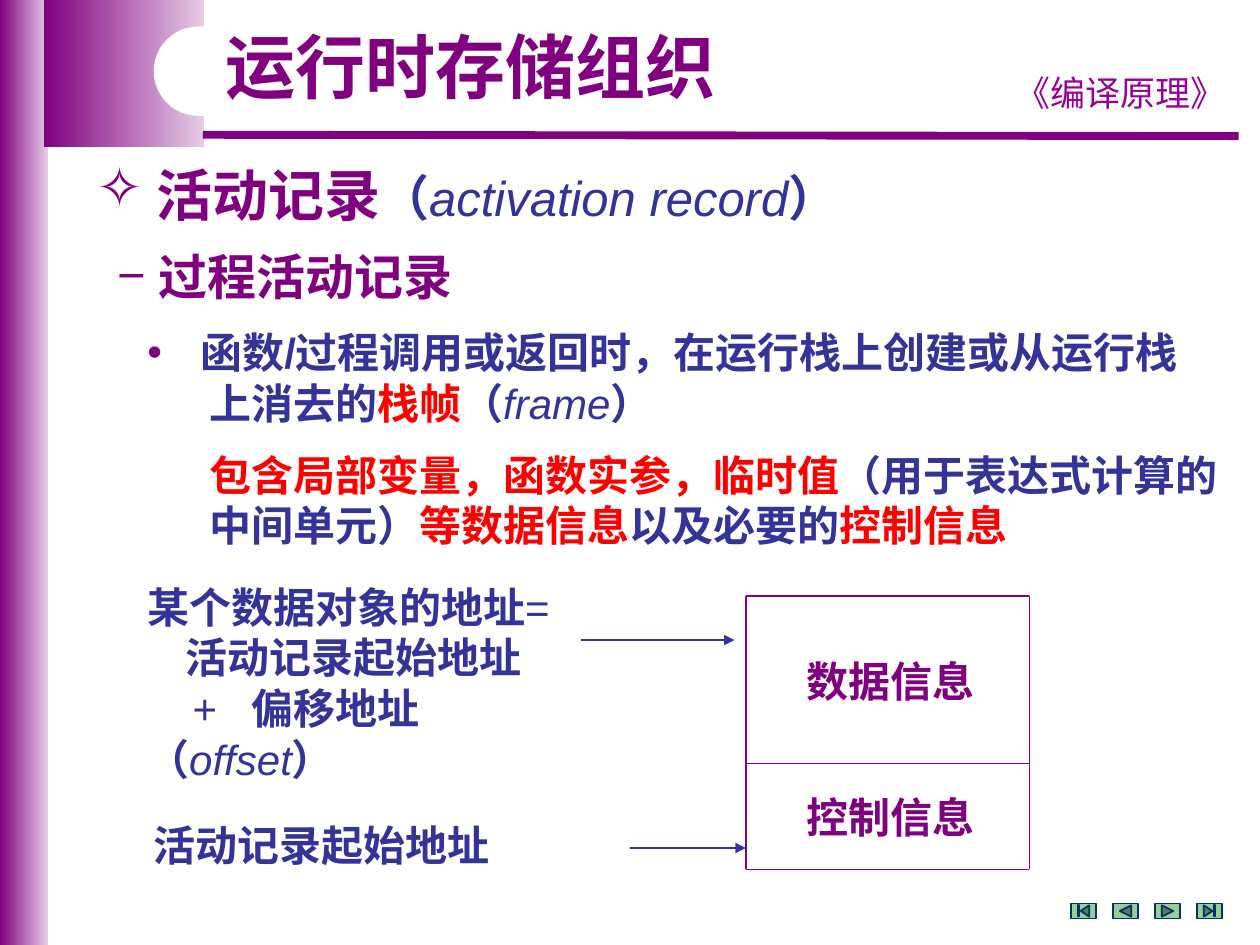
from lxml.etree import SubElement
from pptx import Presentation
from pptx.dml.color import RGBColor
from pptx.enum.shapes import MSO_CONNECTOR, MSO_SHAPE
from pptx.enum.text import MSO_ANCHOR, MSO_AUTO_SIZE, PP_ALIGN
from pptx.oxml.ns import qn
from pptx.util import Inches, Pt

COLORS = {"purple": "800080", "pale": "E6CCE6", "blue": "333399", "red": "FF0000",
          "violet": "990099", "white": "FFFFFF", "green": "99CC99", "navy": "003366"}
RGB = {name: RGBColor.from_string(value) for name, value in COLORS.items()}
CJK_FONT = "Noto Sans CJK SC"

prs = Presentation()
prs.slide_width, prs.slide_height = Inches(10), Inches(7.5)
s = prs.slides.add_slide(prs.slide_layouts[1])
title, body = s.placeholders


def write(sp, box, paragraphs, wrap=True, anchor=MSO_ANCHOR.TOP):
    """Place a text shape; each paragraph is (format dict, runs of (text, size, colour, style, font))."""
    sp.left, sp.top, sp.width, sp.height = map(Inches, box)
    tf = sp.text_frame
    frame_format = {"word_wrap": wrap, "auto_size": MSO_AUTO_SIZE.NONE, "vertical_anchor": anchor}
    for name, value in frame_format.items():
        setattr(tf, name, value)
    for i, (fmt, runs) in enumerate(paragraphs):
        p = tf.paragraphs[0] if i == 0 else tf.add_paragraph()
        p.alignment = fmt.get("align", PP_ALIGN.LEFT)
        p.level = fmt.get("level", 0)
        p.line_spacing = fmt.get("spacing", Pt(round(runs[0][1] * 1.2)))
        p.space_before, p.space_after = Pt(fmt.get("before", 0)), Pt(0)
        pPr = p._p.get_or_add_pPr()
        pPr.set("marL", str(Inches(fmt.get("margin", 0))))
        pPr.set("indent", str(Inches(fmt.get("indent", 0))))
        if "bullet" in fmt:
            color = SubElement(pPr, qn("a:buClr"))
            SubElement(color, qn("a:srgbClr"), val=COLORS["purple"])
            SubElement(pPr, qn("a:buChar"), char=fmt["bullet"])
        else:
            SubElement(pPr, qn("a:buNone"))
        for text, size, color, style, font in runs:
            r = p.add_run()
            r.text = text
            font_format = {"name": font, "size": Pt(size), "bold": style == "b", "italic": style == "i"}
            for name, value in font_format.items():
                setattr(r.font, name, value)
            r.font.color.rgb = RGB[color]
            SubElement(r._r.get_or_add_rPr(), qn("a:ea"), typeface=CJK_FONT)


def line(start, end, color, width, arrow=False):
    """Draw a straight line, with an arrowhead at its end if asked."""
    cxn = s.shapes.add_connector(MSO_CONNECTOR.STRAIGHT, *map(Inches, (*start, *end)))
    cxn.line.color.rgb = RGB[color]
    cxn.line.width = Pt(width)
    if arrow:
        SubElement(cxn.line._get_or_add_ln(), qn("a:tailEnd"), type="triangle")
    SubElement(cxn._element.spPr, qn("a:effectLst"))


# Gradient bands at the left
for left, width, height in [(0, 0.38, 7.5), (0.35, 1.27, 1.17)]:
    sp = s.shapes.add_shape(MSO_SHAPE.RECTANGLE, Inches(left), 0, Inches(width), Inches(height))
    sp.shadow.inherit = False
    sp.line.fill.background()
    sp.fill.gradient()
    sp.fill.gradient_angle = 0
    for stop, position, color in zip(sp.fill.gradient_stops, (0, 1), ("purple", "pale")):
        stop.position = position
        stop.color.rgb = RGB[color]

# Header: rule, course name and white pill behind the title
line((1.61, 1.07), (9.83, 1.08), "purple", 4.5)
write(s.shapes.add_textbox(0, 0, 0, 0), (7.91, 0.52, 1.97, 0.43),
      [({"align": PP_ALIGN.CENTER}, [("《编译原理》", 20, "violet", "", "Comic Neue")])])
pill = s.shapes.add_shape(MSO_SHAPE.ROUNDED_RECTANGLE, *map(Inches, (1.22, 0.21, 3.62, 0.71)))
pill.adjustments[0] = 0.5
pill.shadow.inherit = False
pill.fill.solid()
pill.fill.fore_color.rgb = RGB["white"]
pill.line.fill.background()

# Title and body sit above the header shapes
for sp in (title, body):
    sp.element.getparent().append(sp.element)
write(title, (1.69, 0.21, 4.14, 0.7),
      [({"spacing": 0.9}, [("运行时存储组织", 40, "purple", "b", "Arial")])],
      anchor=MSO_ANCHOR.MIDDLE)

# Topic heading
write(s.shapes.add_textbox(0, 0, 0, 0), (0.67, 1.23, 7.33, 0.63), [
    ({"bullet": "✧", "margin": 0.47, "indent": -0.47}, [
        ("活动记录", 32, "purple", "b", "Arial"),
        ("（", 28, "blue", "b", "Arial"),
        ("activation record", 28, "blue", "i", "Arial"),
        ("）", 28, "blue", "b", "Arial")])])

# Explanation list
continued = {"level": 1, "margin": 0.73}
write(body, (0.83, 1.9, 9.04, 2.52), [
    ({"bullet": "−", "margin": 0.33, "indent": -0.33},
     [("过程活动记录", 28, "purple", "b", "Times New Roman")]),
    ({"bullet": "•", "level": 1, "margin": 0.66, "indent": -0.42, "before": 12},
     [("函数/过程调用或返回时，在运行栈上创建或从运行栈", 24, "blue", "b", "Arial")]),
    (continued, [
        ("上消去的", 24, "blue", "b", "Arial"),
        ("栈帧", 24, "red", "b", "Arial"),
        ("（", 24, "blue", "b", "Arial"),
        ("frame", 24, "blue", "i", "Arial"),
        ("）", 24, "blue", "b", "Arial")]),
    ({**continued, "before": 12}, [
        ("包含局部变量，函数实参，临时值", 24, "red", "b", "Arial"),
        ("（用于表达式计算的", 24, "blue", "b", "Arial")]),
    (continued, [
        ("中间单元）", 24, "blue", "b", "Arial"),
        ("等数据信息", 24, "red", "b", "Arial"),
        ("以及必要的", 24, "blue", "b", "Arial"),
        ("控制信息", 24, "red", "b", "Arial")])])

# Navigation buttons
buttons = [MSO_SHAPE.ACTION_BUTTON_BEGINNING, MSO_SHAPE.ACTION_BUTTON_BACK_OR_PREVIOUS,
           MSO_SHAPE.ACTION_BUTTON_FORWARD_OR_NEXT, MSO_SHAPE.ACTION_BUTTON_END]
for i, kind in enumerate(buttons):
    sp = s.shapes.add_shape(kind, Inches(8.5 + i / 3), Inches(7.17), Inches(0.2), Inches(0.12))
    sp.shadow.inherit = False
    sp.fill.solid()
    sp.fill.fore_color.rgb = RGB["green"]
    sp.line.color.rgb = RGB["navy"]
    sp.line.width = Pt(1)

# Activation record frame
left, right, top, middle, bottom = 5.92, 8.17, 4.73, 6.06, 6.9
for x in (left, right):
    line((x, top), (x, bottom), "purple", 0.75)
for y in (top, middle, bottom):
    line((left, y), (right, y), "purple", 0.75)
for label, y in [("数据信息", 5.15), ("控制信息", 6.23)]:
    write(s.shapes.add_textbox(0, 0, 0, 0), (6.3, y, 1.54, 0.5),
          [({}, [(label, 24, "purple", "b", "Arial")])], wrap=False)

# Address notes and their arrows
line((4.61, 5.08), (5.83, 5.08), "blue", 0.75, arrow=True)
line((5, 6.73), (left, 6.73), "blue", 0.75, arrow=True)
start_address = ("活动记录起始地址", 24, "blue", "b", "Arial")
write(s.shapes.add_textbox(0, 0, 0, 0), (0.75, 6.45, 4.57, 0.5),
      [({"margin": 0.37}, [start_address])])
write(s.shapes.add_textbox(0, 0, 0, 0), (1.07, 4.56, 3.85, 1.7), [
    ({}, [("某个数据对象的地址", 24, "blue", "b", "Arial"), ("=", 24, "blue", "", "Arial")]),
    ({"margin": 0.3}, [start_address]),
    ({"margin": 0.83, "indent": -0.47}, [
        ("+\t", 24, "blue", "", "Arial"), ("偏移地址", 24, "blue", "b", "Arial")]),
    ({}, [("（", 24, "blue", "b", "Arial"),
          ("offset", 24, "blue", "i", "Arial"),
          ("）", 24, "blue", "b", "Arial")])])

prs.save("out.pptx")
